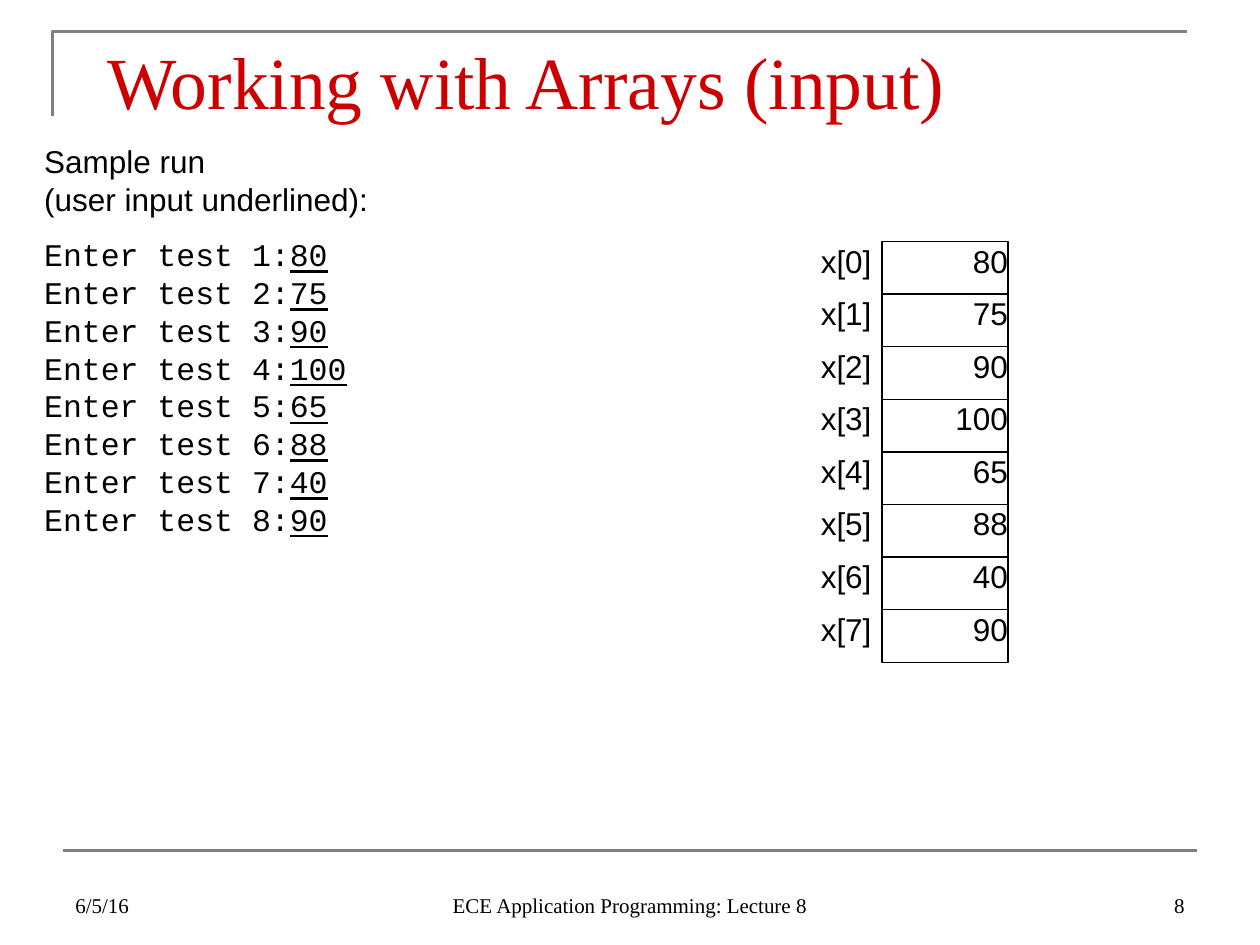
from pptx import Presentation
from pptx.dml.color import RGBColor
from pptx.enum.shapes import MSO_CONNECTOR, MSO_SHAPE
from pptx.enum.text import MSO_ANCHOR, MSO_AUTO_SIZE, PP_ALIGN
from pptx.oxml.ns import qn
from pptx.util import Cm, Pt
from lxml.etree import SubElement

BLACK = RGBColor(0x00, 0x00, 0x00)
RED = RGBColor(0xCC, 0x00, 0x00)
GRAY = RGBColor(0x80, 0x80, 0x80)

SANS = {"name": "Arial", "size": Pt(18)}
MONO = {"name": "Courier New", "size": Pt(18)}
SMALL = {"name": "Times New Roman", "size": Pt(12)}
HEAD = {"name": "Times New Roman", "size": Pt(42)}
TIGHT = {"margin_left": 0, "margin_right": 0, "margin_top": 0, "margin_bottom": 0}

SCORES = [80, 75, 90, 100, 65, 88, 40, 90]
TOP, STEP = 4.87, 1.06


def style(font, form, color=BLACK):
    for key, val in form.items():
        setattr(font, key, val)
    font.color.rgb = color


def fill_box(shape, text, form, align, **frame):
    """Write one formatted paragraph into a shape and set up its text frame."""
    box = shape.text_frame
    box.word_wrap = True
    for key, val in frame.items():
        setattr(box, key, val)
    para = box.paragraphs[0]
    para.text = text
    para.alignment = align
    style(para.font, form)
    return para


prs = Presentation()
prs.slide_width, prs.slide_height = Cm(25.4), Cm(19.05)
slide = prs.slides.add_slide(prs.slide_layouts[5])
shapes = slide.shapes

# Frame lines
pen = shapes.build_freeform(Cm(1.06), Cm(2.33))
pen.add_line_segments([(Cm(1.06), Cm(0.64)), (Cm(23.92), Cm(0.64))], close=False)
frame = pen.convert_to_shape()
frame.shadow.inherit = False
frame.fill.background()
rule = shapes.add_connector(
    MSO_CONNECTOR.STRAIGHT, Cm(1.27), Cm(17.15), Cm(24.13), Cm(17.15))
SubElement(rule._element.spPr, qn("a:effectLst"))
for edge in (frame, rule):
    edge.line.color.rgb = GRAY
    edge.line.width = Pt(1.5)

# Title
title = shapes.title
title.left, title.top, title.width, title.height = Cm(1.91), Cm(0.43), Cm(21.59), Cm(1.48)
para = fill_box(title, "Working with Arrays (input)", HEAD, PP_ALIGN.LEFT,
                vertical_anchor=MSO_ANCHOR.TOP, auto_size=MSO_AUTO_SIZE.NONE,
                margin_top=Cm(0.3))
para.font.color.rgb = RED

# Sample run
run_box = shapes.add_textbox(Cm(0.64), Cm(2.74), Cm(10.16), Cm(13.44))
intro = fill_box(run_box, "Sample run \v(user input underlined):", SANS, PP_ALIGN.LEFT)
log = run_box.text_frame.add_paragraph()
log.space_before = Pt(10)
style(log.font, MONO)
for para in (intro, log):
    para.line_spacing = Pt(21.6)
for num, score in enumerate(SCORES, 1):
    if num > 1:
        log.add_line_break()
    for text, under in ((f"Enter test {num}:", False), (str(score), True)):
        run = log.add_run()
        run.text = text
        style(run.font, MONO)
        run.font.underline = under

# Array cells
for idx, score in enumerate(SCORES):
    top = Cm(TOP + idx * STEP)
    label = shapes.add_textbox(Cm(15.24), top, Cm(2.33), Cm(1.02))
    fill_box(label, f"x[{idx}]", SANS, PP_ALIGN.RIGHT, **TIGHT)
    cell = shapes.add_shape(MSO_SHAPE.RECTANGLE, Cm(17.78), top, Cm(2.54), Cm(STEP))
    cell.shadow.inherit = False
    cell.fill.background()
    cell.line.color.rgb = BLACK
    cell.line.width = Pt(0.75)
    fill_box(cell, str(score), SANS, PP_ALIGN.RIGHT,
             vertical_anchor=MSO_ANCHOR.TOP, **TIGHT)

# Footer
for left, width, text, align in (
    (1.27, 5.93, "6/5/16", PP_ALIGN.LEFT),
    (8.68, 8.04, "ECE Application Programming: Lecture 8", PP_ALIGN.CENTER),
    (18.2, 5.93, "8", PP_ALIGN.RIGHT),
):
    foot = shapes.add_textbox(Cm(left), Cm(17.36), Cm(width), Cm(1.27))
    fill_box(foot, text, SMALL, align, vertical_anchor=MSO_ANCHOR.BOTTOM)

prs.save("out.pptx")
